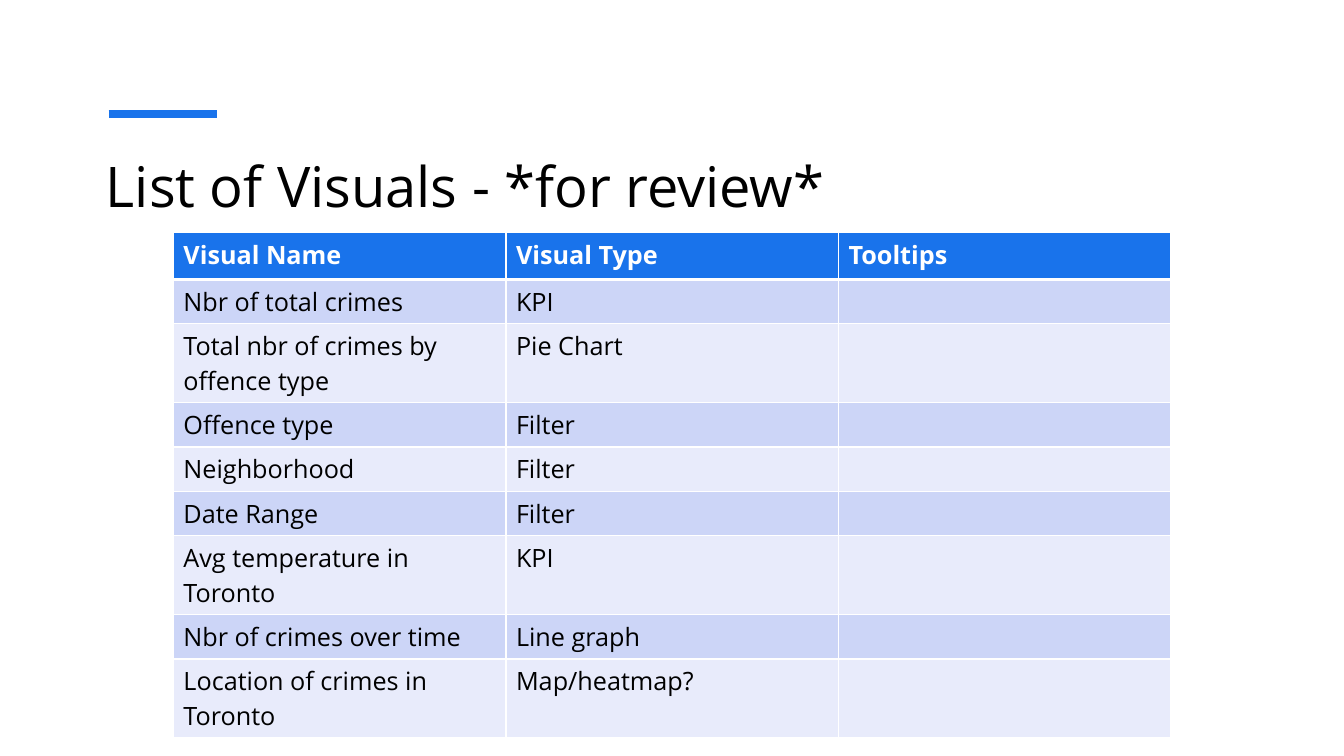
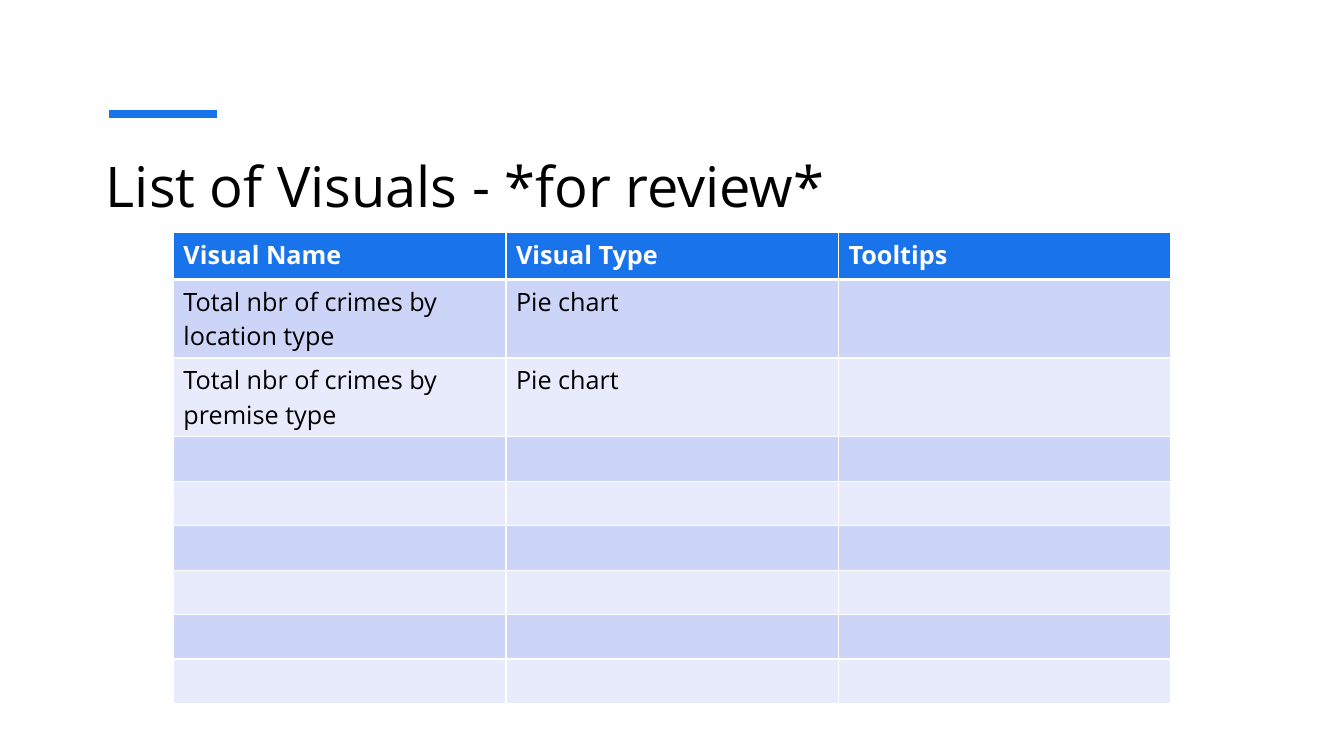
import dataclasses

import lxml.etree
import pptx
import pptx.dml.color
import pptx.enum.shapes
import pptx.enum.text
import pptx.oxml
import pptx.oxml.ns
import pptx.util

Cm = pptx.util.Cm
Pt = pptx.util.Pt


@dataclasses.dataclass(frozen=True)
class Theme:
    """Colours, font and sizes shared by all slides."""
    accent: str = "1973EB"
    bands: tuple = ("CCD5F7", "E8EBFB")
    light: str = "FFFFFF"
    dark: str = "000000"
    font: str = "Open Sans"
    title_size: int = 40
    table_size: int = 18
    accent_width: int = 6
    grid_width: int = 1
    header_rule_width: int = 3


@dataclasses.dataclass(frozen=True)
class Box:
    """A rectangle in centimetres."""
    left: float
    top: float
    width: float
    height: float


THEME = Theme()
TITLE = "List of Visuals - *for review*"
ACCENT_BOX = Box(2.74, 2.87, 2.72, 0)
TITLE_BOX = Box(2.54, 3.81, 28.78, 3.3)
TABLE_BOX = Box(4.37, 5.85, 25.14, 10.15)
HEADER_HEIGHT = 1.19
COLUMNS = ("Visual Name", "Visual Type", "Tooltips")
BODY_ROWS = 8
VISUALS = (
    (
        ("Nbr of total crimes", "KPI"),
        ("Total nbr of crimes by offence type", "Pie Chart"),
        ("Offence type", "Filter"),
        ("Neighborhood", "Filter"),
        ("Date Range", "Filter"),
        ("Avg temperature in Toronto", "KPI"),
        ("Nbr of crimes over time", "Line graph"),
        ("Location of crimes in Toronto", "Map/heatmap?"),
    ),
    (
        ("Total nbr of crimes by location type", "Pie chart"),
        ("Total nbr of crimes by premise type", "Pie chart"),
    ),
)


def colour(code):
    """Turn a hexadecimal code into a colour."""
    return pptx.dml.color.RGBColor.from_string(code)


def write_text(frame, text, size, ink=THEME.dark, bold=False, spacing=1.0):
    """Write one formatted, left-aligned paragraph into a text frame."""
    para = frame.paragraphs[0]
    para.alignment = pptx.enum.text.PP_ALIGN.LEFT
    para.line_spacing = spacing
    span = para.add_run()
    span.text = text
    span.font.name = THEME.font
    span.font.size = Pt(size)
    span.font.bold = bold
    span.font.color.rgb = colour(ink)


def add_accent(page, box):
    """Draw the short accent line above the title."""
    line = page.shapes.add_connector(
        pptx.enum.shapes.MSO_CONNECTOR.STRAIGHT, Cm(box.left), Cm(box.top),
        Cm(box.left + box.width), Cm(box.top + box.height))
    line.line.color.rgb = colour(THEME.accent)
    line.line.width = Pt(THEME.accent_width)
    properties = line.element.spPr
    lxml.etree.SubElement(properties, pptx.oxml.ns.qn("a:effectLst"))


def add_title(page, text, box):
    """Place and format the title placeholder."""
    title = page.shapes.title
    title.left, title.top = Cm(box.left), Cm(box.top)
    title.width, title.height = Cm(box.width), Cm(box.height)
    frame = title.text_frame
    frame.word_wrap = True
    frame.margin_left = Cm(0.13)
    frame.vertical_anchor = pptx.enum.text.MSO_ANCHOR.TOP
    write_text(frame, text, THEME.title_size, spacing=0.95)


def set_borders(cell, **widths):
    """Give a cell solid light borders with a width for each side."""
    properties = cell._tc.get_or_add_tcPr()
    for index, side in enumerate("LRTB"):
        width = Pt(widths.get(side, THEME.grid_width))
        border = pptx.oxml.parse_xml(
            f'<a:ln{side} {pptx.oxml.ns.nsdecls("a")} w="{width}"><a:solidFill>'
            f'<a:srgbClr val="{THEME.light}"/></a:solidFill></a:ln{side}>')
        properties.insert(index, border)


def fill_cell(cell, row, text):
    """Format one cell according to its row and write its text."""
    header = row == 0
    cell.fill.solid()
    cell.fill.fore_color.rgb = colour(
        THEME.accent if header else THEME.bands[(row - 1) % 2])
    rule = {0: {"B": THEME.header_rule_width}, 1: {"T": THEME.header_rule_width}}
    set_borders(cell, **rule.get(row, {}))
    if text:
        write_text(cell.text_frame, text, THEME.table_size,
                   ink=THEME.light if header else THEME.dark, bold=header)


def add_visuals_table(page, visuals, box):
    """Add the table of visuals, leaving unused cells empty."""
    table = page.shapes.add_table(
        BODY_ROWS + 1, len(COLUMNS), Cm(box.left), Cm(box.top),
        Cm(box.width), Cm(box.height)).table
    for column in table.columns:
        column.width = Cm(box.width / len(COLUMNS))
    body_height = (box.height - HEADER_HEIGHT) / BODY_ROWS
    content = (COLUMNS, *visuals)
    for index, row in enumerate(table.rows):
        row.height = Cm(body_height if index else HEADER_HEIGHT)
        texts = content[index] if index < len(content) else ()
        for column, cell in enumerate(row.cells):
            fill_cell(cell, index, texts[column] if column < len(texts) else "")


def add_visuals_page(deck, visuals):
    """Build one slide that lists visuals."""
    page = deck.slides.add_slide(deck.slide_layouts.get_by_name("Title Only"))
    add_accent(page, ACCENT_BOX)
    add_title(page, TITLE, TITLE_BOX)
    add_visuals_table(page, visuals, TABLE_BOX)


def main():
    """Build and save the deck."""
    deck = pptx.Presentation()
    deck.slide_width, deck.slide_height = Cm(33.87), Cm(19.05)
    for visuals in VISUALS:
        add_visuals_page(deck, visuals)
    deck.save("out.pptx")


main()
